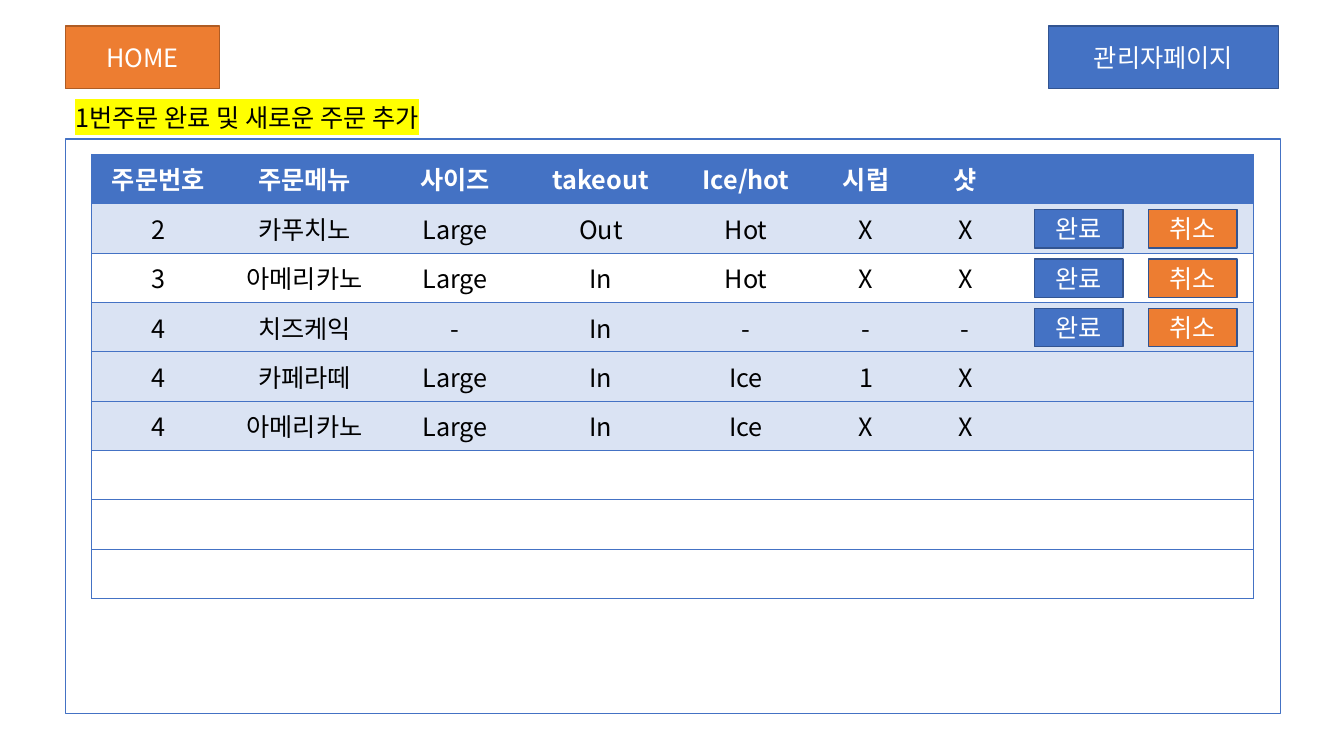
from lxml.etree import SubElement
from pptx import Presentation
from pptx.dml.color import RGBColor
from pptx.enum.shapes import MSO_SHAPE
from pptx.enum.text import MSO_ANCHOR, MSO_AUTO_SIZE, PP_ALIGN
from pptx.oxml import parse_xml
from pptx.oxml.ns import nsdecls, qn
from pptx.util import Emu, Pt

PX = 9144  # 100 px to the inch
FONT = "Noto Sans CJK KR"
BLUE = RGBColor(0x44, 0x72, 0xC4)
DARK_BLUE = RGBColor(0x32, 0x54, 0x91)
PALE_BLUE = RGBColor(0xDA, 0xE3, 0xF3)
ORANGE = RGBColor(0xED, 0x7D, 0x31)
DARK_ORANGE = RGBColor(0xAF, 0x5C, 0x24)
YELLOW = RGBColor(0xFF, 0xFF, 0x00)
WHITE = RGBColor(0xFF, 0xFF, 0xFF)
BLACK = RGBColor(0, 0, 0)
NO_STYLE = "{2D5ABB26-0587-4C30-8999-92F81FD0307C}"

NOTICE = "1번주문 완료 및 새로운 주문 추가"
HEADERS = ["주문번호", "주문메뉴", "사이즈", "takeout", "Ice/hot", "시럽", "샷", "", ""]
ORDERS = [
    ("2", "카푸치노", "Large", "Out", "Hot", "X", "X"),
    ("3", "아메리카노", "Large", "In", "Hot", "X", "X"),
    ("4", "치즈케익", "-", "In", "-", "-", "-"),
    ("4", "카페라떼", "Large", "In", "Ice", "1", "X"),
    ("4", "아메리카노", "Large", "In", "Ice", "X", "X"),
]
EMPTY_ROWS = 3
ROW_FILLS = [BLUE, PALE_BLUE, WHITE] + [PALE_BLUE] * 3 + [WHITE] * EMPTY_ROWS
COLUMN_WIDTHS = [132, 158, 141, 148, 140, 98, 99, 118, 118]
ROW_HEIGHT = 49
TABLE_LEFT, TABLE_TOP = 91, 153
ACTIONS = [("완료", 1026, BLUE), ("취소", 1139, ORANGE)]
ACTION_ROWS = 3


def to_emu(*lengths):
    return [Emu(length * PX) for length in lengths]


def write(frame, text, color, bold=False, align=PP_ALIGN.CENTER):
    para = frame.paragraphs[0]
    para.alignment = align
    span = para.add_run()
    span.text = text
    span.font.color.rgb = color
    for name, value in {"name": FONT, "size": Pt(18), "bold": bold}.items():
        setattr(span.font, name, value)
    properties = span._r.get_or_add_rPr()
    SubElement(properties, qn("a:ea"), typeface=FONT)
    return properties


def add_box(page, place, fill, line, text=""):
    box = page.shapes.add_shape(MSO_SHAPE.RECTANGLE, *to_emu(*place))
    box.shadow.inherit = False
    box.fill.solid()
    box.fill.fore_color.rgb = fill
    box.line.color.rgb = line
    box.line.width = Pt(1)
    if text:
        box.text_frame.vertical_anchor = MSO_ANCHOR.MIDDLE
        write(box.text_frame, text, WHITE)


def add_notice(page):
    box = page.shapes.add_textbox(*to_emu(65, 97, 974, 40))
    frame = box.text_frame
    frame.word_wrap = True
    frame.auto_size = MSO_AUTO_SIZE.SHAPE_TO_FIT_TEXT
    properties = write(frame, NOTICE, BLACK, align=PP_ALIGN.LEFT)
    highlight = parse_xml(
        f'<a:highlight {nsdecls("a")}><a:srgbClr val="{YELLOW}"/></a:highlight>')
    properties.find(qn("a:latin")).addprevious(highlight)


def set_borders(cell, sides):
    """Draw thin blue lines on the given sides; call before filling the cell."""
    for side in sides:
        cell._tc.get_or_add_tcPr().append(parse_xml(
            f'<a:ln{side} {nsdecls("a")} w="6350"><a:solidFill>'
            f'<a:srgbClr val="{BLUE}"/></a:solidFill></a:ln{side}>'))


def add_order_table(page):
    rows = [HEADERS, *ORDERS] + [()] * EMPTY_ROWS
    last = len(HEADERS) - 1
    place = (TABLE_LEFT, TABLE_TOP, sum(COLUMN_WIDTHS), ROW_HEIGHT * len(rows))
    graphic = page.shapes.add_table(len(rows), len(HEADERS), *to_emu(*place))
    table = graphic.table
    table._tbl.tblPr.find(qn("a:tableStyleId")).text = NO_STYLE
    for column, width in zip(table.columns, COLUMN_WIDTHS):
        column.width = Emu(width * PX)
    for r, (values, fill) in enumerate(zip(rows, ROW_FILLS)):
        table.rows[r].height = Emu(ROW_HEIGHT * PX)
        for c in range(len(HEADERS)):
            cell = table.cell(r, c)
            set_borders(cell, "L" * (c == 0) + "R" * (c == last) + "TB")
            cell.fill.solid()
            cell.fill.fore_color.rgb = fill
            cell.vertical_anchor = MSO_ANCHOR.MIDDLE
            if c < len(values) and values[c]:
                write(cell.text_frame, values[c], BLACK if r else WHITE, bold=r == 0)


def main():
    deck = Presentation()
    deck.slide_width, deck.slide_height = to_emu(1333, 750)
    page = deck.slides.add_slide(deck.slide_layouts[6])
    add_box(page, (1040, 26, 228, 62), BLUE, DARK_BLUE, "관리자페이지")
    add_notice(page)
    add_box(page, (65, 26, 153, 62), ORANGE, DARK_ORANGE, "HOME")
    add_box(page, (65, 138, 1205, 570), WHITE, BLUE)
    add_order_table(page)
    for label, left, fill in ACTIONS:
        for row in range(1, ACTION_ROWS + 1):
            top = TABLE_TOP + row * ROW_HEIGHT + 6
            add_box(page, (left, top, 88, 38), fill, DARK_BLUE, label)
    deck.save("out.pptx")


if __name__ == "__main__":
    main()
